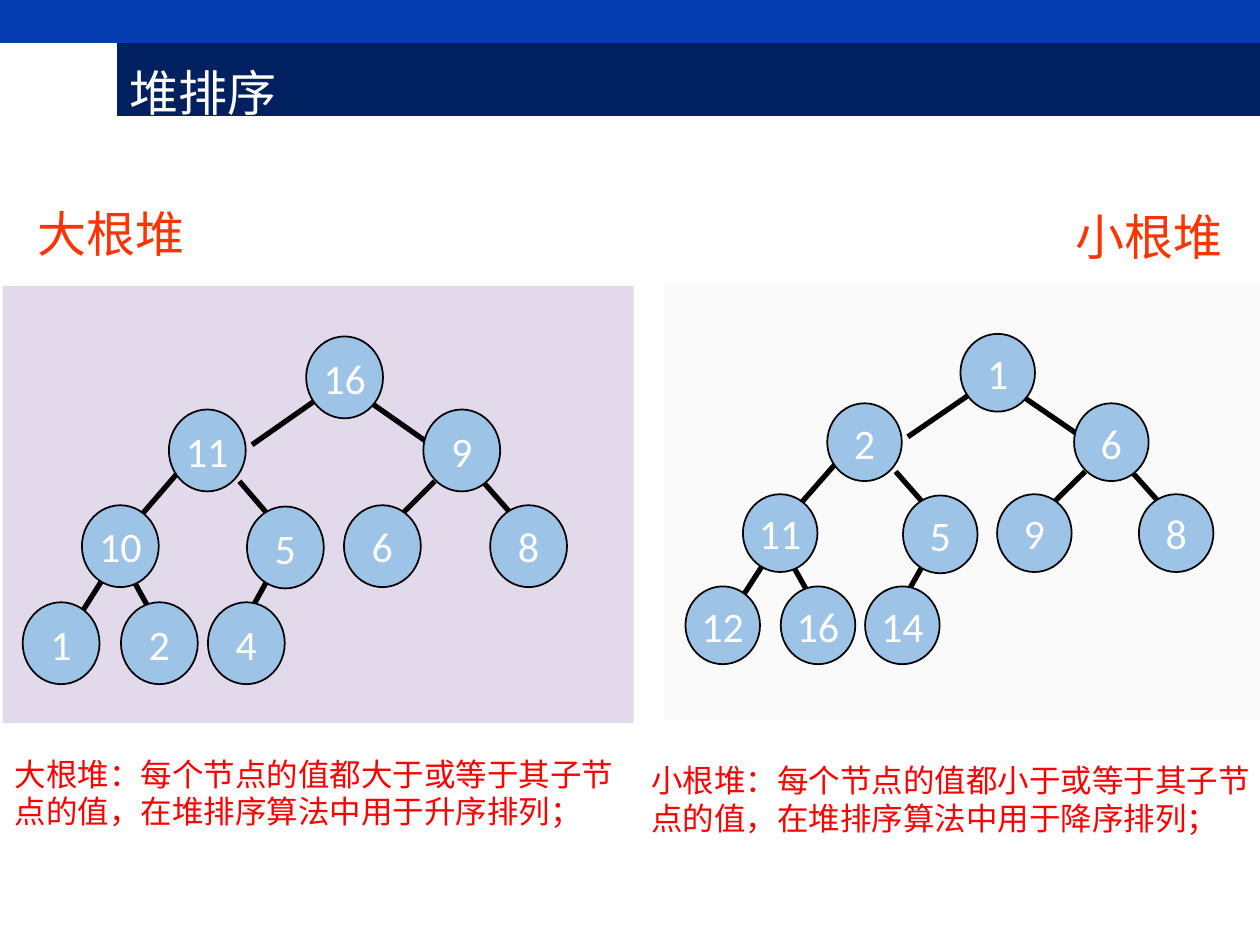
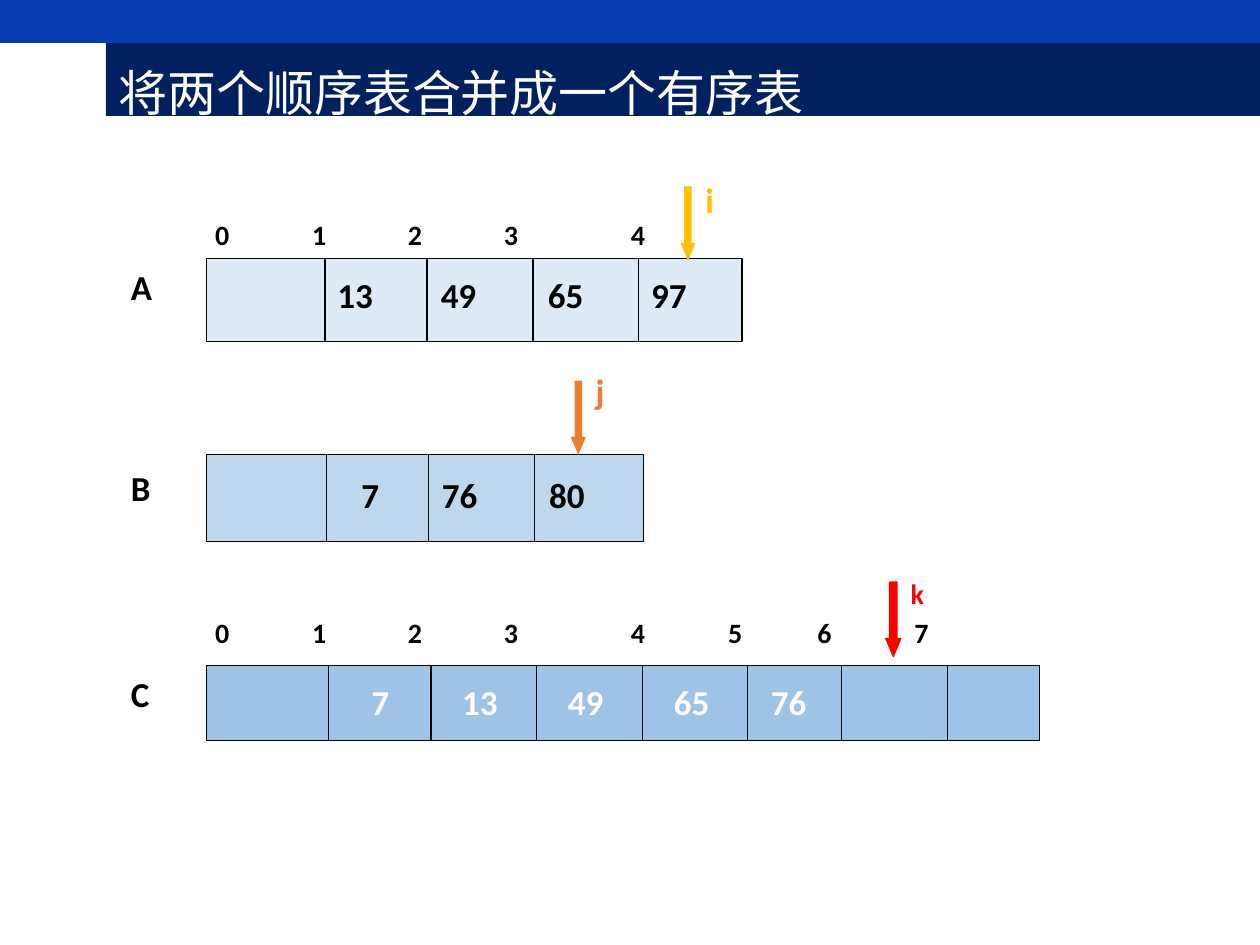
from lxml import etree
from pptx import Presentation
from pptx.dml.color import RGBColor
from pptx.enum.shapes import MSO_CONNECTOR, MSO_SHAPE
from pptx.enum.text import MSO_ANCHOR, MSO_AUTO_SIZE, PP_ALIGN
from pptx.oxml.ns import qn
from pptx.util import Inches, Pt

RECT, OVAL, ARROW = MSO_SHAPE.RECTANGLE, MSO_SHAPE.OVAL, MSO_SHAPE.DOWN_ARROW
STRAIGHT = MSO_CONNECTOR.STRAIGHT
TOP, MIDDLE = MSO_ANCHOR.TOP, MSO_ANCHOR.MIDDLE
LEFT, CENTER = PP_ALIGN.LEFT, PP_ALIGN.CENTER
FIXED = MSO_AUTO_SIZE.NONE

COLS, ROWS = 10, 7.5
HEX = {
    "blue": "053CAF", "navy": "002060", "red": "FF0000", "title": "FF3300",
    "gray": "FAFAFA", "lilac": "E2D9EB", "node": "9DC3E6", "pale": "DEEBF7",
    "sky": "BDD7EE", "gold": "FFC000", "orange": "ED7D31",
    "black": "000000", "white": "FFFFFF",
}

NODE = (0.61, 0.65)
SPOTS = [(2.25, 0), (1.16, 0.58), (3.18, 0.58), (0.47, 1.34), (1.78, 1.35),
         (2.55, 1.34), (3.71, 1.34), (0, 2.11), (0.78, 2.11), (1.47, 2.11)]
EDGES = [(1.82, 0.86, 2.32, 0.51), (2.74, 0.51, 3.24, 0.86),
         (3.65, 1.15, 3.87, 1.4), (3.27, 1.15, 2.88, 1.54),
         (1.72, 1.15, 2.03, 1.51), (1.25, 1.06, 0.94, 1.42),
         (0.64, 1.92, 0.4, 2.3), (0.87, 1.92, 1.03, 2.21),
         (1.95, 1.92, 1.79, 2.21)]

START = 1.64
MARKS = [2.58, 3.39, 4.23, 5.07, 5.9, 6.65, 7.49]
TABS = [0.77, 1.53, 2.29, 3.3, 4.07, 4.78, 5.55]


def write(frame, text, size=20, color="black", font="Calibri", bold=False,
          align=LEFT, anchor=TOP, pad=True, lead=None, tabs=()):
    """Fill a text frame with one formatted paragraph."""
    frame.auto_size = FIXED
    frame.word_wrap = True
    frame.vertical_anchor = anchor
    if not pad:
        frame.margin_left = frame.margin_right = 0
        frame.margin_top = frame.margin_bottom = 0
    para = frame.paragraphs[0]
    para.alignment = align
    if lead:
        para.line_spacing = lead
    if tabs:
        stops = etree.SubElement(para._p.get_or_add_pPr(), qn("a:tabLst"))
        for stop in tabs:
            etree.SubElement(stops, qn("a:tab"), pos=str(Inches(stop)), algn="l")
    run = para.add_run()
    run.text = text
    run.font.name, run.font.size, run.font.bold = font, Pt(size), bold
    run.font.color.rgb = RGBColor.from_string(HEX[color])


class Deck:
    """Hold the shared style and the current slide."""

    def __init__(self):
        """Open an empty deck on a grid of columns and rows."""
        self.prs = Presentation()
        self.prs.slide_width, self.prs.slide_height = Inches(10), Inches(7.5)
        self.slide = None

    def x(self, cols):
        """Turn columns into a length."""
        return round(self.prs.slide_width * cols / COLS)

    def y(self, rows):
        """Turn rows into a length."""
        return round(self.prs.slide_height * rows / ROWS)

    def area(self, left, top, wide, high):
        """Turn a grid area into lengths."""
        return self.x(left), self.y(top), self.x(wide), self.y(high)

    def page(self, title, left):
        """Start a slide with the top band and a title."""
        self.slide = self.prs.slides.add_slide(self.prs.slide_layouts[5])
        self.shape(RECT, (0, 0, COLS, 0.34), "blue")
        head = self.slide.shapes.title
        head.left, head.top, head.width, head.height = self.area(
            left, 0.33, COLS - left, 0.59)
        head.fill.solid()
        head.fill.fore_color.rgb = RGBColor.from_string(HEX["navy"])
        write(head.text_frame, title, size=28, color="white",
              anchor=MIDDLE, lead=1.25)
        head.text_frame.margin_top = self.y(0.15)

    def stroke(self, item, color, width):
        """Set the outline of an item."""
        item.line.color.rgb = RGBColor.from_string(HEX[color])
        item.line.width = Pt(width)

    def shape(self, kind, area, fill, line=None, width=0.75):
        """Add a filled preset shape."""
        item = self.slide.shapes.add_shape(kind, *self.area(*area))
        item.shadow.inherit = False
        item.fill.solid()
        item.fill.fore_color.rgb = RGBColor.from_string(HEX[fill])
        if line:
            self.stroke(item, line, width)
        else:
            item.line.fill.background()
        return item

    def line(self, x1, y1, x2, y2, width=0.75):
        """Add a straight black line."""
        item = self.slide.shapes.add_connector(
            STRAIGHT, self.x(x1), self.y(y1), self.x(x2), self.y(y2))
        self.stroke(item, "black", width)
        etree.SubElement(item._element.spPr, qn("a:effectLst"))

    def text(self, area, text, **style):
        """Add a text box."""
        box = self.slide.shapes.add_textbox(*self.area(*area))
        write(box.text_frame, text, **style)

    def tree(self, left, top, keys, sx=1, sy=1):
        """Draw a heap of ten keys in level order."""
        for x1, y1, x2, y2 in EDGES:
            self.line(left + x1 * sx, top + y1 * sy,
                      left + x2 * sx, top + y2 * sy, width=3)
        for key, (col, row) in zip(keys, SPOTS):
            area = (left + col * sx, top + row * sy, NODE[0] * sx, NODE[1] * sy)
            node = self.shape(OVAL, area, "node", "black", 1)
            write(node.text_frame, str(key), size=24, color="white",
                  align=CENTER, anchor=MIDDLE, pad=False)

    def array(self, name, top, high, end, fill, cells, shift=0, drop=0.07,
              color="black"):
        """Draw a named row of cells, with (value, indent) from the second on."""
        self.shape(RECT, (START, top, end - START, high), fill, "black")
        marks = [mark + shift for mark in MARKS if mark + shift < end - 0.1]
        for mark in marks:
            self.line(mark, top, mark, top + high)
        for mark, (value, indent) in zip(marks, cells):
            self.text((mark + indent, top + drop, 0.67, 0.43), str(value),
                      color=color, bold=True)
        self.text((0.94, top + drop - 0.06, 0.67, 0.43), name, bold=True)

    def scale(self, top, count):
        """Write the index numbers above an array."""
        label = "\t".join(str(number) for number in range(count))
        self.text((1.61, top, 6.66, 0.37), label, size=16, bold=True,
                  tabs=TABS[:count - 1])

    def point(self, name, left, top, color, rise, line=None, size=20):
        """Draw a named arrow down to a cell."""
        arrow = self.shape(ARROW, (left, top, 0.12, 0.59), color, line)
        arrow.adjustments[0], arrow.adjustments[1] = 0.5, 1.19
        self.text((left + 0.1, top - rise, 0.53, 0.43), name, size=size,
                  color=color, bold=True)


def heaps(deck):
    """Build the slide on max heaps and min heaps."""
    deck.page("堆排序", 0.93)
    deck.shape(RECT, (5.27, 2.24, 4.73, 3.47), "gray")
    deck.shape(RECT, (0.02, 2.27, 5.01, 3.47), "lilac")
    deck.tree(0.18, 2.67, [16, 11, 9, 10, 5, 6, 8, 1, 2, 4])
    deck.tree(5.44, 2.65, [1, 2, 6, 11, 5, 9, 8, 12, 16, 14], sx=0.97, sy=0.95)
    for left, top, name in [(-0.2, 1.57, "大根堆"), (8.04, 1.59, "小根堆")]:
        deck.text((left, top, 2.16, 0.57), name, size=28, color="title",
                  align=CENTER)
    notes = [(0.02, 5.94, "大根堆：每个节点的值都大于或等于其子节点的值，在堆排序算法中用于升序排列；"),
             (5.07, 5.99, "小根堆：每个节点的值都小于或等于其子节点的值，在堆排序算法中用于降序排列；")]
    for left, top, note in notes:
        deck.text((left, top, 5, 0.71), note, size=18, color="red", font="Lato")


def merge(deck):
    """Build the slide on merging two lists."""
    deck.page("将两个顺序表合并成一个有序表", 0.84)
    deck.scale(1.68, 5)
    deck.array("A", 2.05, 0.66, 5.89, "pale",
               [(13, 0), (49, 0.01), (65, 0.02), (97, 0)])
    deck.array("B", 3.61, 0.69, 5.11, "sky",
               [(7, 0.18), (76, 0.01), (80, 0.02)], shift=0.01, drop=0.1)
    deck.scale(4.84, 8)
    deck.array("C", 5.28, 0.6, 8.25, "node",
               [(7, 0.24), (13, 0.15), (49, 0.15), (65, 0.15), (76, 0.09)],
               shift=0.03, color="white")
    deck.point("i", 5.4, 1.48, "gold", 0.11)
    deck.point("j", 4.53, 3.02, "orange", 0.14)
    deck.point("k", 7.03, 4.62, "red", 0.09, line="red", size=16)


def main():
    """Build and save the deck."""
    deck = Deck()
    heaps(deck)
    merge(deck)
    deck.prs.save("out.pptx")


if __name__ == "__main__":
    main()
